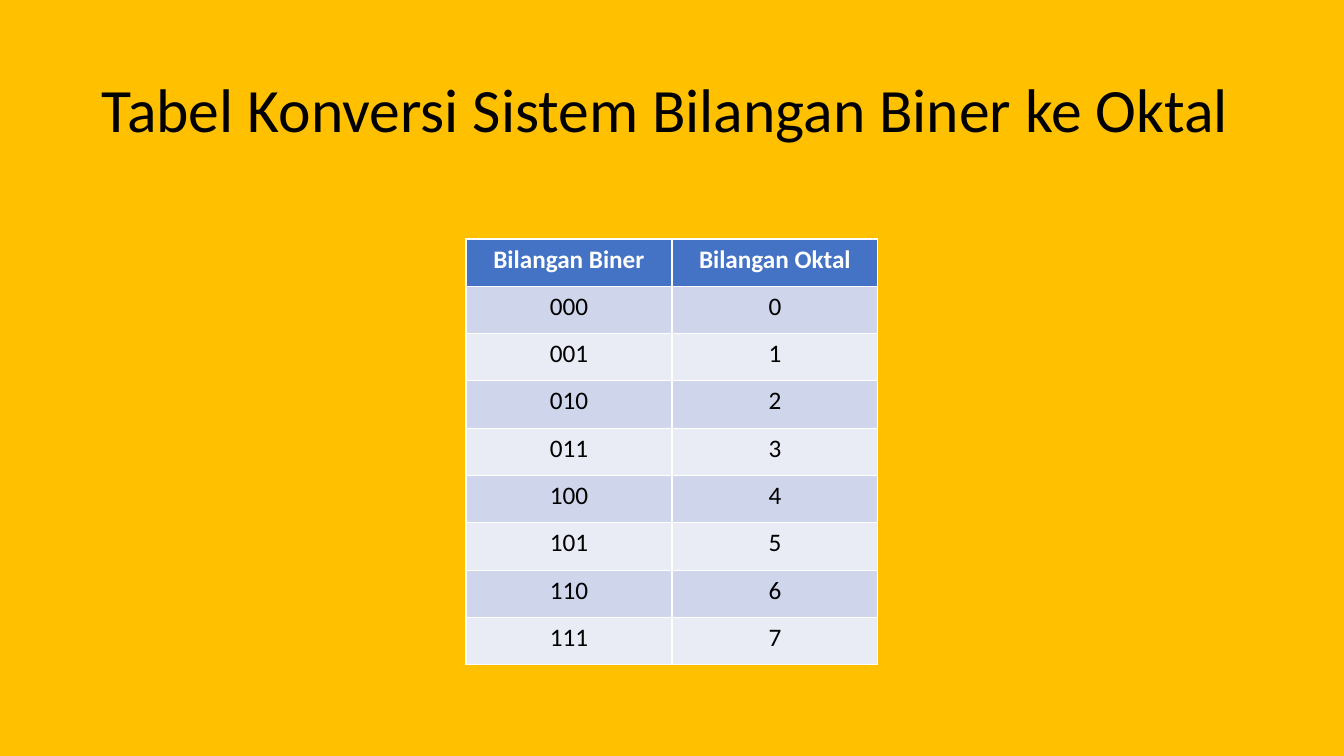
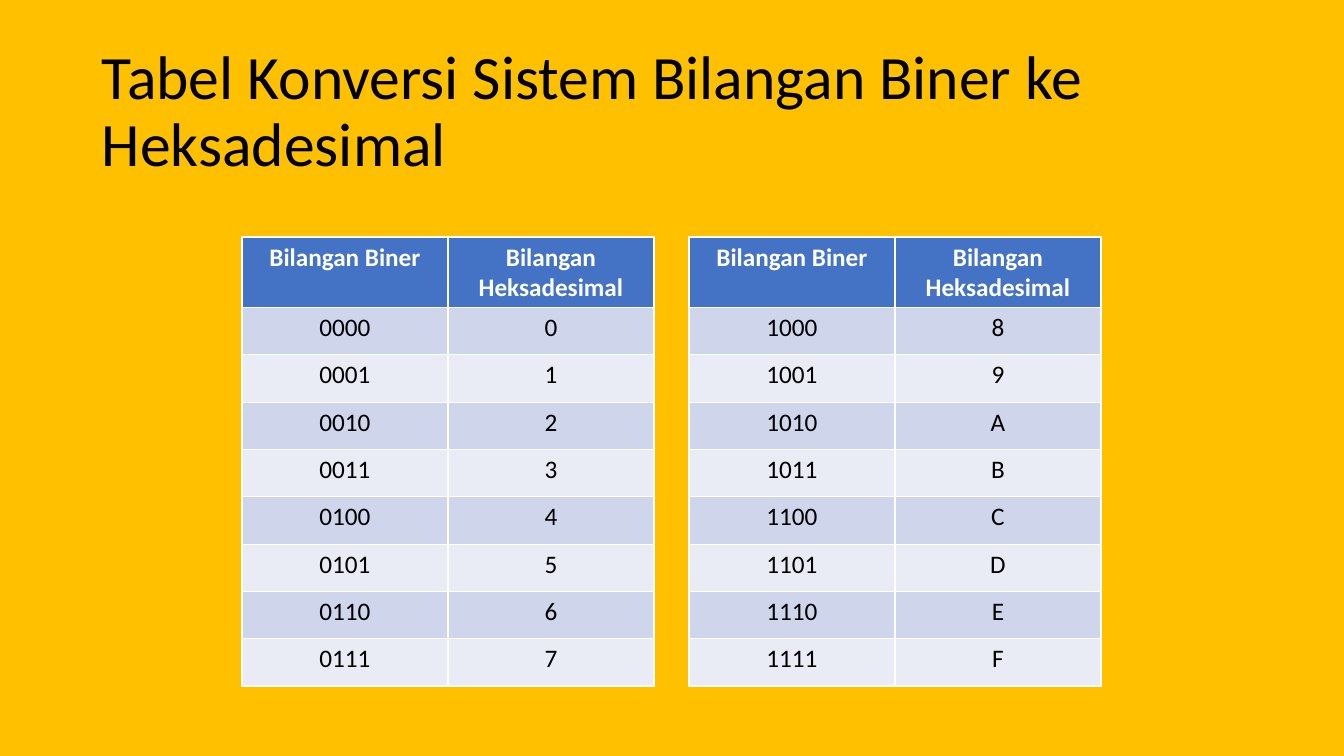
"""Build two slides with conversion tables from binary to octal and hexadecimal."""
from dataclasses import dataclass

from pptx import Presentation
from pptx.dml.color import RGBColor
from pptx.enum.text import MSO_ANCHOR as Anchor, PP_ALIGN as Align
from pptx.slide import Slide
from pptx.text.text import TextFrame
from pptx.util import Emu, Pt

EMU_PER_PIXEL = 914400 / 100.8
SLIDE_SIZE = (1344, 756)
TITLE_BOX = (92, 40, 1159, 146)
COLUMN_WIDTH = 206
ROWS_HEIGHT = 426
FONT = "Calibri"
GOLD, BLUE, BLACK, WHITE = "FFC000", "4472C4", "000000", "FFFFFF"
BANDS = ("CFD5EA", "E9EBF5")


@dataclass(frozen=True)
class Conversion:
    """A table of eight consecutive numbers in binary and another base."""

    left: int
    top: int
    height: int
    base: str
    first: int
    bits: int

    def rows(self) -> list[tuple[str, str]]:
        """Return the header row and the number rows."""
        numbers = range(self.first, self.first + 8)
        header = ("Bilangan Biner", f"Bilangan {self.base}")
        return [header] + [(f"{n:0{self.bits}b}", f"{n:X}") for n in numbers]


@dataclass(frozen=True)
class Page:
    """A slide title and the tables below it."""

    title: str
    conversions: tuple[Conversion, ...]


PAGES = (
    Page("Tabel Konversi Sistem Bilangan Biner ke Oktal",
         (Conversion(466, 239, 426, "Oktal", 0, 3),)),
    Page("Tabel Konversi Sistem Bilangan Biner ke Heksadesimal",
         (Conversion(242, 237, 450, "Heksadesimal", 0, 4),
          Conversion(689, 237, 450, "Heksadesimal", 8, 4))),
)


def px(pixels: float) -> Emu:
    """Turn pixels into EMU."""
    return Emu(round(pixels * EMU_PER_PIXEL))


def color(code: str) -> RGBColor:
    """Turn a hex string into a colour."""
    return RGBColor.from_string(code)


def write(frame: TextFrame, text: str, *, size: int = 18, ink: str = BLACK,
          bold: bool = False, align: Align = Align.CENTER,
          spacing: float = 1.0) -> None:
    """Write one formatted paragraph into a text frame."""
    paragraph = frame.paragraphs[0]
    paragraph.alignment = align
    paragraph.line_spacing = spacing
    run = paragraph.add_run()
    run.text = text
    run.font.name = FONT
    run.font.size = Pt(size)
    run.font.bold = bold
    run.font.color.rgb = color(ink)


def draw_title(slide: Slide, title: str) -> None:
    """Draw the slide title."""
    frame = slide.shapes.add_textbox(*map(px, TITLE_BOX)).text_frame
    frame.word_wrap = True
    frame.vertical_anchor = Anchor.MIDDLE
    write(frame, title, size=44, align=Align.LEFT, spacing=0.9)


def draw_conversion(slide: Slide, conversion: Conversion) -> None:
    """Draw a conversion table with a blue header and banded rows."""
    rows = conversion.rows()
    holder = slide.shapes.add_table(
        len(rows), 2, px(conversion.left), px(conversion.top),
        px(2 * COLUMN_WIDTH), px(conversion.height))
    for r, values in enumerate(rows):
        holder.table.rows[r].height = px(ROWS_HEIGHT / len(rows))
        is_header = r == 0
        for c, value in enumerate(values):
            cell = holder.table.cell(r, c)
            cell.fill.solid()
            cell.fill.fore_color.rgb = color(BLUE if is_header else BANDS[(r - 1) % 2])
            write(cell.text_frame, value, bold=is_header,
                  ink=WHITE if is_header else BLACK)
    holder.height = px(conversion.height)


def build() -> None:
    """Build and save the presentation."""
    deck = Presentation()
    deck.slide_width, deck.slide_height = map(px, SLIDE_SIZE)
    for page in PAGES:
        slide = deck.slides.add_slide(deck.slide_layouts[6])
        slide.background.fill.solid()
        slide.background.fill.fore_color.rgb = color(GOLD)
        draw_title(slide, page.title)
        for conversion in page.conversions:
            draw_conversion(slide, conversion)
    deck.save("out.pptx")


build()
